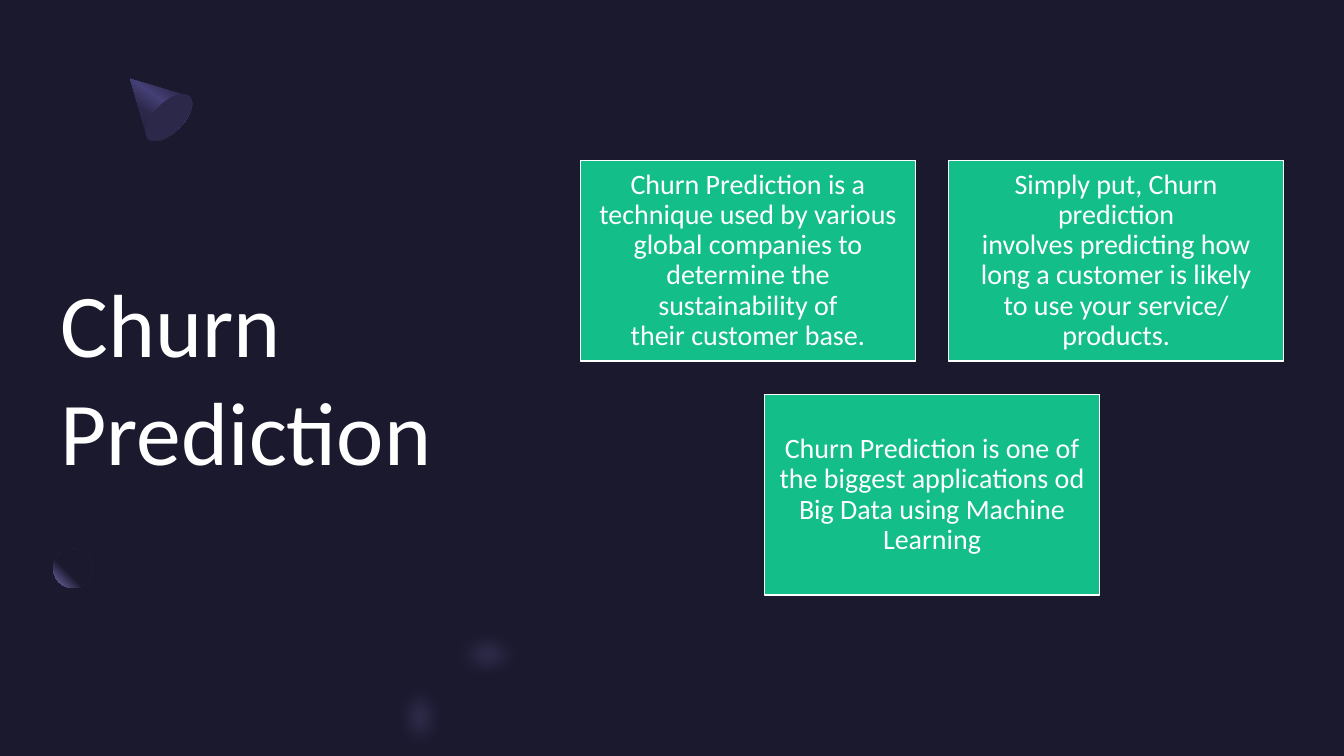
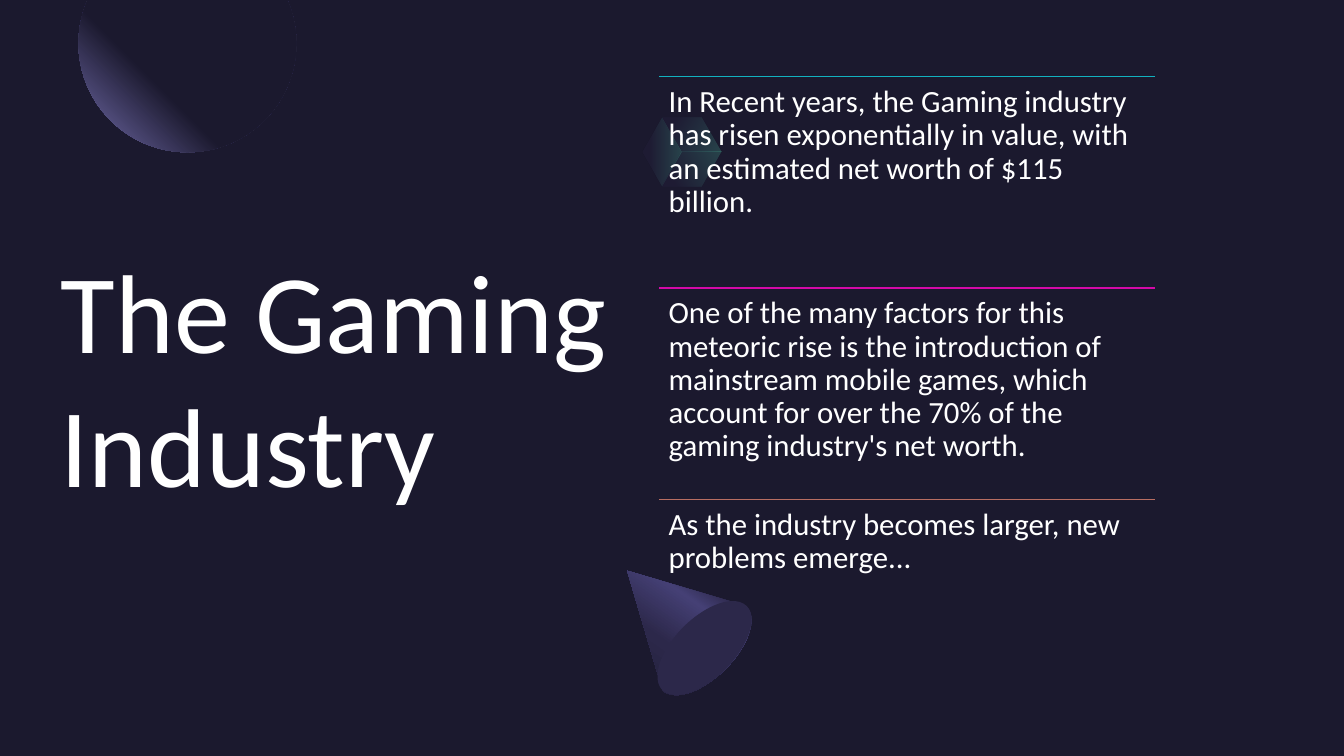
from dataclasses import dataclass
from math import cos, pi, radians, sin

from lxml.etree import SubElement
from pptx import Presentation
from pptx.dml.color import RGBColor
from pptx.enum.shapes import MSO_CONNECTOR, MSO_SHAPE
from pptx.enum.text import MSO_ANCHOR, PP_ALIGN
from pptx.oxml.ns import qn
from pptx.shapes.autoshape import Shape
from pptx.slide import Slide
from pptx.util import Pt

NIGHT = RGBColor(0x1B, 0x19, 0x2E)
DUSK = RGBColor(0x2C, 0x28, 0x4A)
VIOLET = RGBColor(0x45, 0x40, 0x75)
LILAC = RGBColor(0x77, 0x71, 0xB2)
MINT = RGBColor(0x5B, 0xEF, 0xC1)
GREEN = RGBColor(0x13, 0xBE, 0x89)
TEAL = RGBColor(0x12, 0xB1, 0xBF)
PINK = RGBColor(0xD4, 0x0A, 0xA8)
CLAY = RGBColor(0xB8, 0x6E, 0x62)
WHITE = RGBColor(0xFF, 0xFF, 0xFF)
FONT = "Calibri"
TIE, HARD = "~", chr(160)  # a tie in a text stands for a no-break space

Point = tuple[float, float]
Stops = list[tuple[int, RGBColor]]


@dataclass(frozen=True)
class Box:
    left: float
    top: float
    width: float
    height: float

    def frame(self) -> list[Pt]:
        return [Pt(v) for v in (self.left, self.top, self.width, self.height)]


@dataclass(frozen=True)
class Item:
    color: RGBColor
    text: str


PAGE = Box(0, 0, 960, 540)

CARDS = [
    ["Churn Prediction is a technique used by various global companies to "
     "determine the sustainability of their~customer~base.",
     "Simply put,~Churn prediction involves~predicting how long a customer "
     "is likely to~use your service/ products."],
    ["Churn Prediction is one of the biggest applications od Big Data using "
     "Machine Learning"],
]
CARD_W, CARD_H, GAP = 239.2, 143.4, 23.8
CARD_MID, CARD_TOP = 665.8, 114.5

ITEMS = [
    Item(TEAL, "In Recent years, the Gaming industry has risen exponentially in "
               "value, with an estimated net worth of $115 billion."),
    Item(PINK, "One of~the many factors~for this meteoric rise is the~"
               "introduction of mainstream~mobile~games, which account for "
               "over the 70% of the gaming industry's net worth."),
    Item(CLAY, "As~the industry becomes larger, new problems emerge..."),
]
ITEM_BOX = Box(471, 54.8, 354.2, 151)

BLURS = [Box(308, 447, 80, 41), Box(279.5, 472, 41, 80)]


def write(shape: Shape, text: str, *, size: float, inset: float = 0,
          space: float = 1, align: PP_ALIGN = PP_ALIGN.LEFT,
          anchor: MSO_ANCHOR = MSO_ANCHOR.MIDDLE) -> None:
    body = shape.text_frame
    body.word_wrap = True
    body.vertical_anchor = anchor
    body.margin_left = body.margin_right = Pt(inset)
    body.margin_top = body.margin_bottom = Pt(inset)
    para = body.paragraphs[0]
    para.alignment = align
    para.line_spacing = space
    run = para.add_run()
    run.text = text.replace(TIE, HARD)
    run.font.name = FONT
    run.font.size = Pt(size)
    run.font.color.rgb = WHITE


def plain(shape: Shape, color: RGBColor) -> Shape:
    """Give a shape one flat fill, with no line and no shadow."""
    shape.shadow.inherit = False
    shape.fill.solid()
    shape.fill.fore_color.rgb = color
    shape.line.fill.background()
    return shape


def fade(shape: Shape, stops: Stops, *, angle: float | None = None,
         alpha: int = 100) -> None:
    """Fill with a linear blend, or a round one from the top right if no angle."""
    props = plain(shape, NIGHT).element.spPr
    solid = props.find(qn("a:solidFill"))
    grad = solid.makeelement(qn("a:gradFill"), {"rotWithShape": "1"})
    props.replace(solid, grad)
    group = SubElement(grad, qn("a:gsLst"))
    for place, color in stops:
        stop = SubElement(group, qn("a:gs"), pos=str(place * 1000))
        tint = SubElement(stop, qn("a:srgbClr"), val=str(color))
        if alpha < 100:
            SubElement(tint, qn("a:alpha"), val=str(alpha * 1000))
    if angle is None:
        route = SubElement(grad, qn("a:path"), {"path": "circle"})
        SubElement(route, qn("a:fillToRect"), l="100000", b="100000")
    else:
        SubElement(grad, qn("a:lin"), ang=str(int(angle * 60000)), scaled="0")


def arc(x: float, y: float, wide: float, high: float,
        start: float, end: float) -> list[Point]:
    """Points on an ellipse with the given half axes; angles run clockwise."""
    count = 48
    turns = [radians(start + (end - start) * i / count) for i in range(count + 1)]
    return [(x + wide * cos(t), y + high * sin(t)) for t in turns]


def outline(slide: Slide, points: list[Point]) -> Shape:
    dots = [(Pt(x), Pt(y)) for x, y in points]
    path = slide.shapes.build_freeform(*dots[0])
    path.add_line_segments(dots[1:], close=True)
    return path.convert_to_shape()


def oval(slide: Slide, box: Box) -> Shape:
    return slide.shapes.add_shape(MSO_SHAPE.OVAL, *box.frame())


def block(slide: Slide, box: Box, color: RGBColor) -> Shape:
    return plain(slide.shapes.add_shape(MSO_SHAPE.RECTANGLE, *box.frame()), color)


def cone(slide: Slide, box: Box, glow: int) -> None:
    """Draw a cone tipped to the left, brightest at the glow percentage."""
    wide, high = box.width, box.height
    mid = box.left + wide / 2
    base = box.top + high - wide / 4
    side = outline(slide, [(mid, box.top), *arc(mid, base, wide / 2, wide / 4, 0, 180)])
    side.rotation = 315
    fade(side, [(30, DUSK), (glow, VIOLET), (60, DUSK), (100, NIGHT)], angle=170)
    shift = (high / 2 - wide / 4) * sin(pi / 4)
    x, y = mid + shift, box.top + high / 2 + shift
    disc = plain(oval(slide, Box(x - wide / 4, y - wide / 2, wide / 2, wide)), DUSK)
    disc.rotation = 45


def blur(slide: Slide, box: Box) -> None:
    props = plain(oval(slide, box), LILAC).element.spPr
    tint = props.find(qn("a:solidFill")).find(qn("a:srgbClr"))
    SubElement(tint, qn("a:alpha"), val="40000")
    SubElement(props.find(qn("a:effectLst")), qn("a:softEdge"), rad=str(Pt(14)))


def cube(slide: Slide, x: float, y: float, size: float) -> None:
    """Draw a hexagon as three faces that meet in its middle."""
    for start, angle in ((240, 30), (120, 0), (0, 330)):
        turns = [radians(start + 60 * i) for i in range(3)]
        rim = [(x + size * cos(t), y + size * sin(t)) for t in turns]
        fade(outline(slide, [(x, y), *rim]), [(20, DUSK), (100, MINT)],
             angle=angle, alpha=20)


def title(slide: Slide, text: str, width: float, size: float) -> None:
    box = slide.shapes.add_textbox(*Box(43.4, 119.8, width, 297.4).frame())
    write(box, text, size=size)


def card(slide: Slide, box: Box, text: str) -> None:
    shape = block(slide, box, GREEN)
    shape.line.color.rgb = WHITE
    shape.line.width = Pt(1)
    write(shape, text, size=20, inset=6, space=0.9, align=PP_ALIGN.CENTER)


def entry(slide: Slide, box: Box, item: Item) -> None:
    """Draw a coloured rule with its text below."""
    y = Pt(box.top)
    rule = slide.shapes.add_connector(
        MSO_CONNECTOR.STRAIGHT, Pt(box.left), y, Pt(box.left + box.width), y)
    rule.line.color.rgb = item.color
    rule.line.width = Pt(1)
    SubElement(rule.element.spPr, qn("a:effectLst"))
    write(slide.shapes.add_textbox(*box.frame()), item.text, size=22, inset=6.6,
          space=0.9, anchor=MSO_ANCHOR.TOP)


def churn(slide: Slide) -> None:
    title(slide, "Churn Prediction", 357, 64)
    cone(slide, Box(89.3, 49, 42.5, 49.7), 45)
    fade(oval(slide, Box(38, 392, 28, 28)), [(60, NIGHT), (100, LILAC)])
    for box in BLURS:
        blur(slide, box)
    for row, texts in enumerate(CARDS):
        span = len(texts) * (CARD_W + GAP) - GAP
        for col, text in enumerate(texts):
            left = CARD_MID - span / 2 + col * (CARD_W + GAP)
            top = CARD_TOP + row * (CARD_H + GAP)
            card(slide, Box(left, top, CARD_W, CARD_H), text)


def gaming(slide: Slide) -> None:
    title(slide, "The Gaming Industry", 428.4, 80)
    moon = outline(slide, arc(133.9, 31, 77.8, 77.8, -23.5, 203.5))
    fade(moon, [(60, NIGHT), (100, LILAC)])
    cube(slide, 487, 108.6, 28.2)
    cone(slide, Box(440.6, 393.1, 85, 99.4), 40)
    for row, item in enumerate(ITEMS):
        top = ITEM_BOX.top + row * ITEM_BOX.height
        entry(slide, Box(ITEM_BOX.left, top, ITEM_BOX.width, ITEM_BOX.height), item)


def main() -> None:
    deck = Presentation()
    deck.slide_width, deck.slide_height = Pt(PAGE.width), Pt(PAGE.height)
    back = deck.slide_master.background.fill
    back.solid()
    back.fore_color.rgb = NIGHT
    for draw in (churn, gaming):
        slide = deck.slides.add_slide(deck.slide_layouts[6])
        block(slide, PAGE, NIGHT)
        draw(slide)
    deck.save("out.pptx")


if __name__ == "__main__":
    main()
